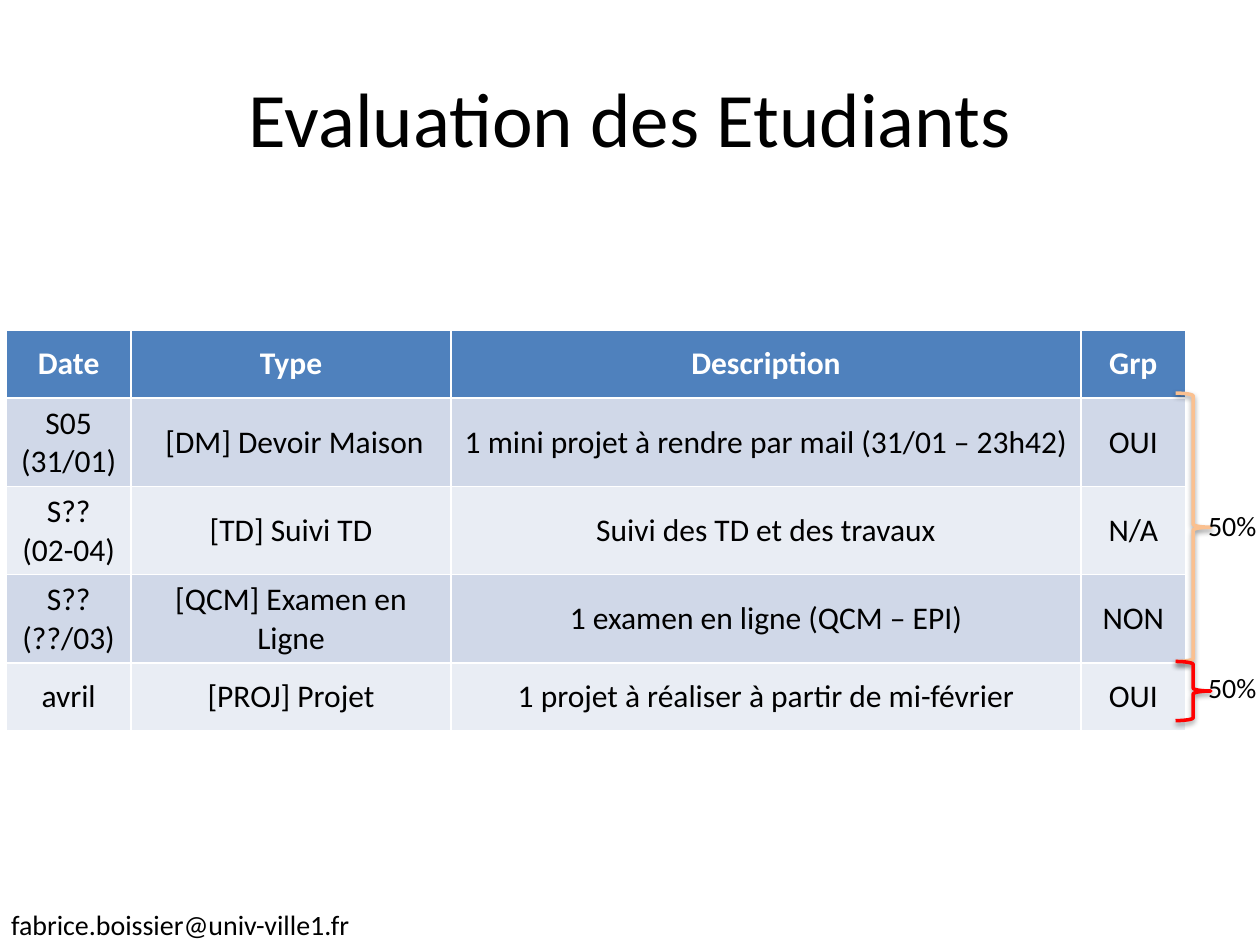
from lxml.etree import SubElement
from pptx import Presentation
from pptx.dml.color import RGBColor
from pptx.enum.shapes import MSO_SHAPE as Shape
from pptx.enum.text import MSO_ANCHOR as Anchor, MSO_AUTO_SIZE as AutoSize, PP_ALIGN as Align
from pptx.oxml.ns import qn
from pptx.util import Inches, Pt

COLUMN_WIDTHS = [0.99, 2.54, 5, 0.83]
ROW_HEIGHTS = [0.54, 0.7, 0.7, 0.7, 0.54]
ROWS = [
    ["Date", "Type", "Description", "Grp"],
    ["S05\v(31/01)", " [DM] Devoir Maison", "1 mini projet à rendre par mail (31/01 – 23h42)", "OUI"],
    ["S??\n(02-04)", "[TD] Suivi TD", "Suivi des TD et des travaux", "N/A"],
    ["S??\v(??/03)", "[QCM] Examen en Ligne", "1 examen en ligne (QCM – EPI)", "NON"],
    ["avril", "[PROJ] Projet", "1 projet à réaliser à partir de mi-février", "OUI"],
]
HEADER_FILL = "4F81BD"
BAND_FILLS = ["E9EDF4", "D0D8E8"]


def paint(color_format, color):
    """Set a colour format to a hex colour."""
    color_format.rgb = RGBColor.from_string(color)


def format_text(text_frame, size, color="000000", bold=False, align=Align.LEFT):
    """Format every paragraph and run of a text frame."""
    for paragraph in text_frame.paragraphs:
        paragraph.alignment = align
        for run in paragraph.runs:
            run.font.name = "Calibri"
            run.font.size = Pt(size)
            run.font.bold = bold
            paint(run.font.color, color)


def set_title(slide, text):
    """Fill and place the title placeholder."""
    title = slide.shapes.title
    title.left, title.top = Inches(0.5), Inches(0.3)
    title.width, title.height = Inches(9), Inches(1.25)
    title.text_frame.text = text
    title.text_frame.vertical_anchor = Anchor.MIDDLE
    format_text(title.text_frame, 44, align=Align.CENTER)


def add_label(slide, text, left, top, width, wrap=True):
    """Add a one-line text box."""
    box = slide.shapes.add_textbox(Inches(left), Inches(top), Inches(width), Inches(0.37))
    box.text_frame.text = text
    box.text_frame.word_wrap = wrap
    box.text_frame.auto_size = AutoSize.SHAPE_TO_FIT_TEXT
    format_text(box.text_frame, 16)


def fill_cell(cell, text, fill, color, bold):
    """Write and colour one centred table cell."""
    cell.text_frame.text = text
    cell.vertical_anchor = Anchor.MIDDLE
    cell.fill.solid()
    paint(cell.fill.fore_color, fill)
    format_text(cell.text_frame, 18, color, bold, Align.CENTER)


def add_evaluation_table(slide):
    """Add the table of evaluations."""
    table = slide.shapes.add_table(
        len(ROWS), len(COLUMN_WIDTHS), Inches(0.05), Inches(2.62),
        Inches(sum(COLUMN_WIDTHS)), Inches(sum(ROW_HEIGHTS))).table
    for column, width in zip(table.columns, COLUMN_WIDTHS):
        column.width = Inches(width)
    for index, texts in enumerate(ROWS):
        table.rows[index].height = Inches(ROW_HEIGHTS[index])
        is_header = index == 0
        fill = HEADER_FILL if is_header else BAND_FILLS[index % 2]
        color = "FFFFFF" if is_header else "000000"
        for cell, text in zip(table.rows[index].cells, texts):
            fill_cell(cell, text, fill, color, is_header)


def add_shadow(shape):
    """Give a shape a soft shadow below it."""
    shape.shadow.inherit = False
    effects = shape.element.spPr.find(qn("a:effectLst"))
    shadow = SubElement(effects, qn("a:outerShdw"), blurRad=str(Pt(3.1)),
                        dist=str(Pt(1.6)), dir="5400000", rotWithShape="0")
    color = SubElement(shadow, qn("a:srgbClr"), val="000000")
    SubElement(color, qn("a:alpha"), val="38000")


def add_brace(slide, top, height, color, middle=0.5):
    """Add a right brace beside the table rows."""
    brace = slide.shapes.add_shape(
        Shape.RIGHT_BRACE, Inches(9.33), Inches(top), Inches(0.28), Inches(height))
    brace.adjustments[0] = 0.083
    brace.adjustments[1] = middle
    brace.fill.background()
    brace.line.width = Pt(2)
    paint(brace.line.color, color)
    add_shadow(brace)


def main():
    """Build and save the slide."""
    presentation = Presentation()
    presentation.slide_width, presentation.slide_height = Inches(10), Inches(7.5)
    slide = presentation.slides.add_slide(presentation.slide_layouts[5])
    add_label(slide, "fabrice.boissier@univ-ville1.fr", -0.01, 7.15, 3, wrap=False)
    set_title(slide, "Evaluation des Etudiants")
    add_evaluation_table(slide)
    add_brace(slide, 3.12, 2.13, "FAC090")
    add_brace(slide, 5.25, 0.47, "FF0000")
    for top in (3.99, 5.27):
        add_label(slide, "50%", 9.49, top, 0.63)
    presentation.save("out.pptx")


if __name__ == "__main__":
    main()
